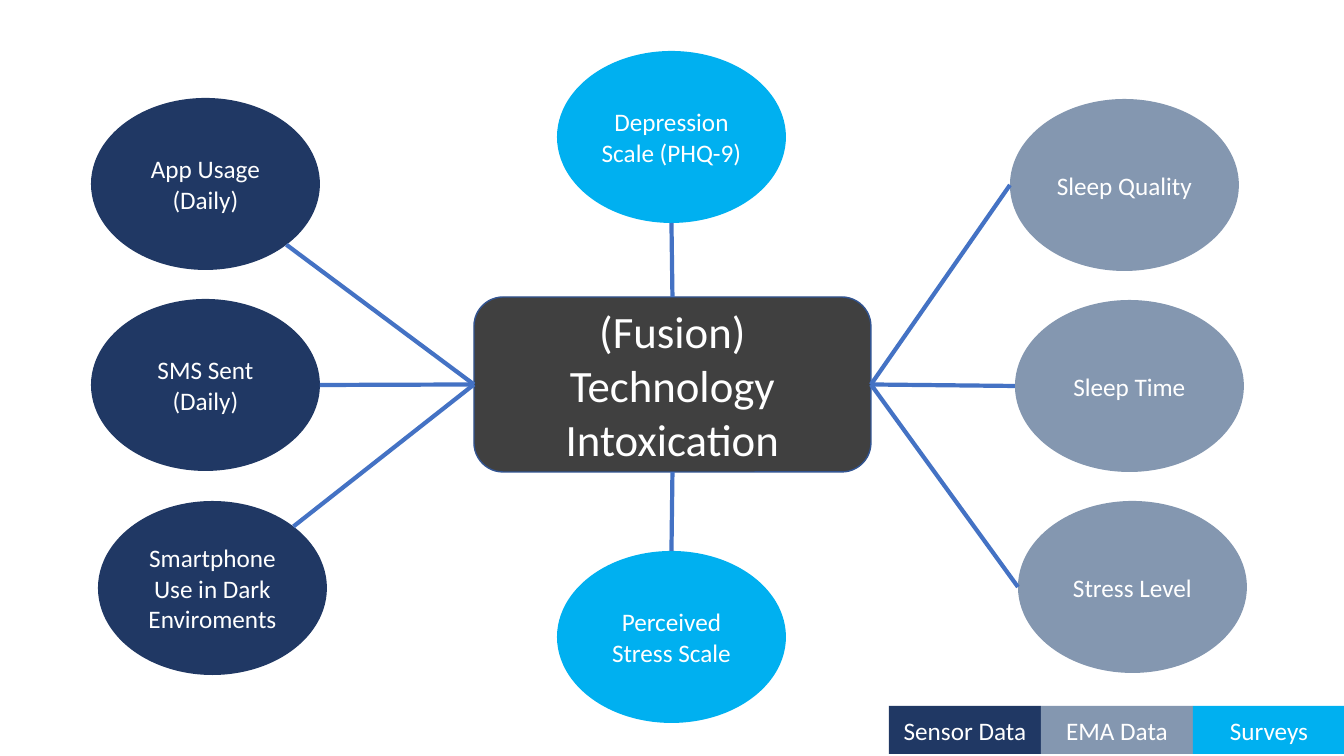
from math import cos, sin, radians

from pptx import Presentation
from pptx.dml.color import RGBColor
from pptx.enum.shapes import MSO_CONNECTOR as LINE, MSO_SHAPE as SHAPE
from pptx.enum.text import MSO_ANCHOR as ANCHOR, PP_ALIGN as ALIGN
from pptx.oxml.ns import qn
from pptx.util import Pt
from lxml.etree import SubElement

PX = 914400 / 100.8
SENSOR, EMA, SURVEY = "203864", "8497B0", "00B0F0"
HUB_FILL, HUB_EDGE, LINK = "404040", "325491", "4472C4"

HUB = (474, 297, 397, 175)
BUBBLE_W, BUBBLE_H = 229, 172

# label, fill, left, top, height, angle of the link on the bubble, hub side (x, y)
FACTORS = [
    ("App Usage (Daily)", SENSOR, 91, 98, BUBBLE_H, 45, (0, 0.5)),
    ("SMS Sent (Daily)", SENSOR, 91, 299, BUBBLE_H, 0, (0, 0.5)),
    ("Smartphone Use in Dark Enviroments", SENSOR, 98, 501, 174, -45, (0, 0.5)),
    ("Sleep Quality", EMA, 1010, 99, BUBBLE_H, 180, (1, 0.5)),
    ("Sleep Time", EMA, 1015, 300, BUBBLE_H, 180, (1, 0.5)),
    ("Stress Level", EMA, 1018, 501, BUBBLE_H, 180, (1, 0.5)),
    ("Depression Scale (PHQ-9)", SURVEY, 557, 51, BUBBLE_H, 90, (0.5, 0)),
    ("Perceived Stress Scale", SURVEY, 557, 551, BUBBLE_H, -90, (0.5, 1)),
]
LEGEND = [("Sensor Data", SENSOR), ("EMA Data", EMA), ("Surveys", SURVEY)]


def emu(*pixels):
    return [round(p * PX) for p in pixels]


def rgb(code):
    return RGBColor.from_string(code)


def write(shape, text, size=18, color="FFFFFF", font="Calibri"):
    frame = shape.text_frame
    frame.word_wrap = True
    frame.vertical_anchor = ANCHOR.MIDDLE
    paragraph = frame.paragraphs[0]
    paragraph.alignment = ALIGN.CENTER
    run = paragraph.add_run()
    run.text = text
    run.font.size = Pt(size)
    run.font.name = font
    run.font.color.rgb = rgb(color)


def add_node(slide, kind, box, fill, text, edge=None, **text_format):
    node = slide.shapes.add_shape(kind, *emu(*box))
    node.shadow.inherit = False
    node.fill.solid()
    node.fill.fore_color.rgb = rgb(fill)
    if edge:
        node.line.color.rgb = rgb(edge)
        node.line.width = Pt(1)
    else:
        node.line.fill.background()
    write(node, text, **text_format)


def add_link(slide, start, end):
    link = slide.shapes.add_connector(LINE.STRAIGHT, *emu(*start, *end))
    link.line.color.rgb = rgb(LINK)
    link.line.width = Pt(3)
    SubElement(link._element.spPr, qn("a:effectLst"))


def point_on_ellipse(left, top, width, height, angle):
    turn = radians(angle)
    return (left + width / 2 * (1 + cos(turn)),
            top + height / 2 * (1 + sin(turn)))


def main():
    deck = Presentation()
    deck.slide_width, deck.slide_height = emu(1344, 756)
    slide = deck.slides.add_slide(deck.slide_layouts[6])

    # Central concept
    add_node(slide, SHAPE.ROUNDED_RECTANGLE, HUB, HUB_FILL,
             "(Fusion) Technology Intoxication", edge=HUB_EDGE, size=32)

    # Factors, each linked to one side of the hub
    hub_left, hub_top, hub_w, hub_h = HUB
    for label, fill, left, top, height, angle, (side_x, side_y) in FACTORS:
        box = (left, top, BUBBLE_W, height)
        add_node(slide, SHAPE.OVAL, box, fill, label)
        hub_side = (hub_left + side_x * hub_w, hub_top + side_y * hub_h)
        add_link(slide, hub_side, point_on_ellipse(*box, angle))

    # Legend of data sources
    for i, (label, fill) in enumerate(LEGEND):
        add_node(slide, SHAPE.RECTANGLE, (889 + 152 * i, 706, 152, 48), fill, label)

    deck.save("out.pptx")


main()
